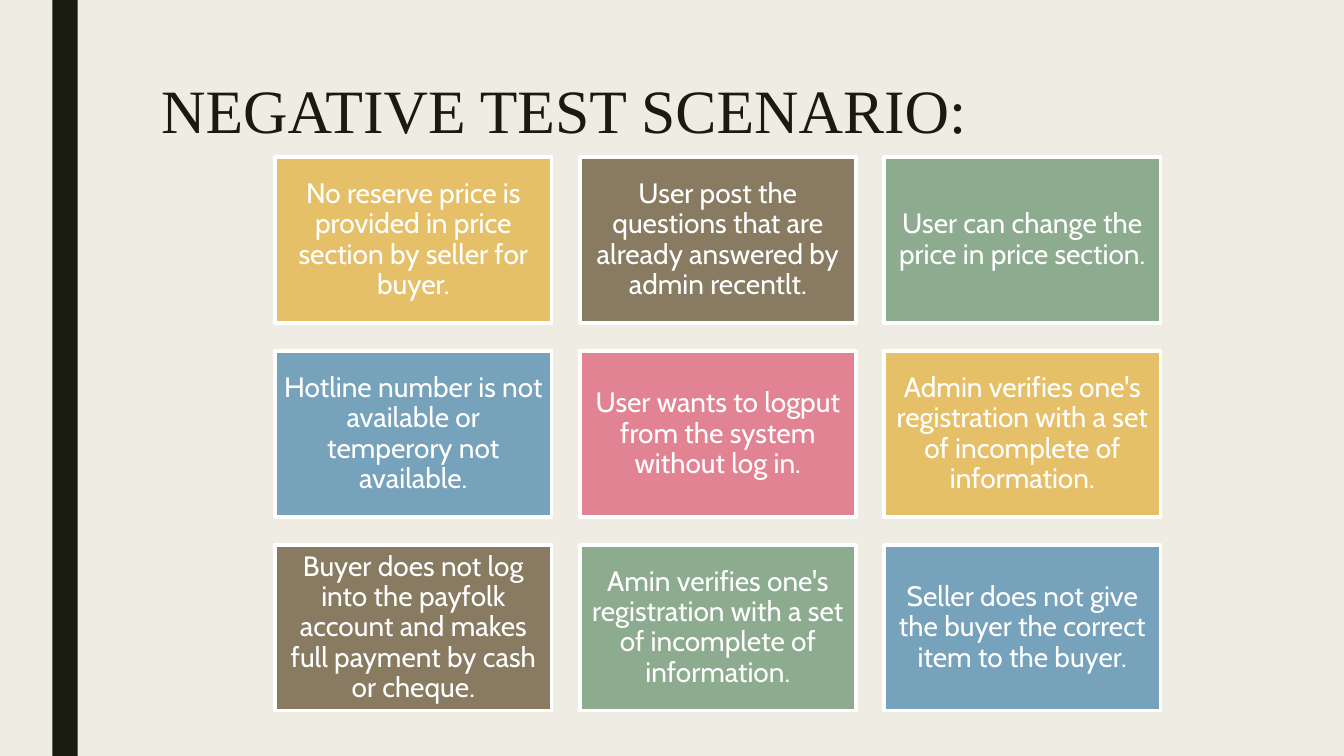
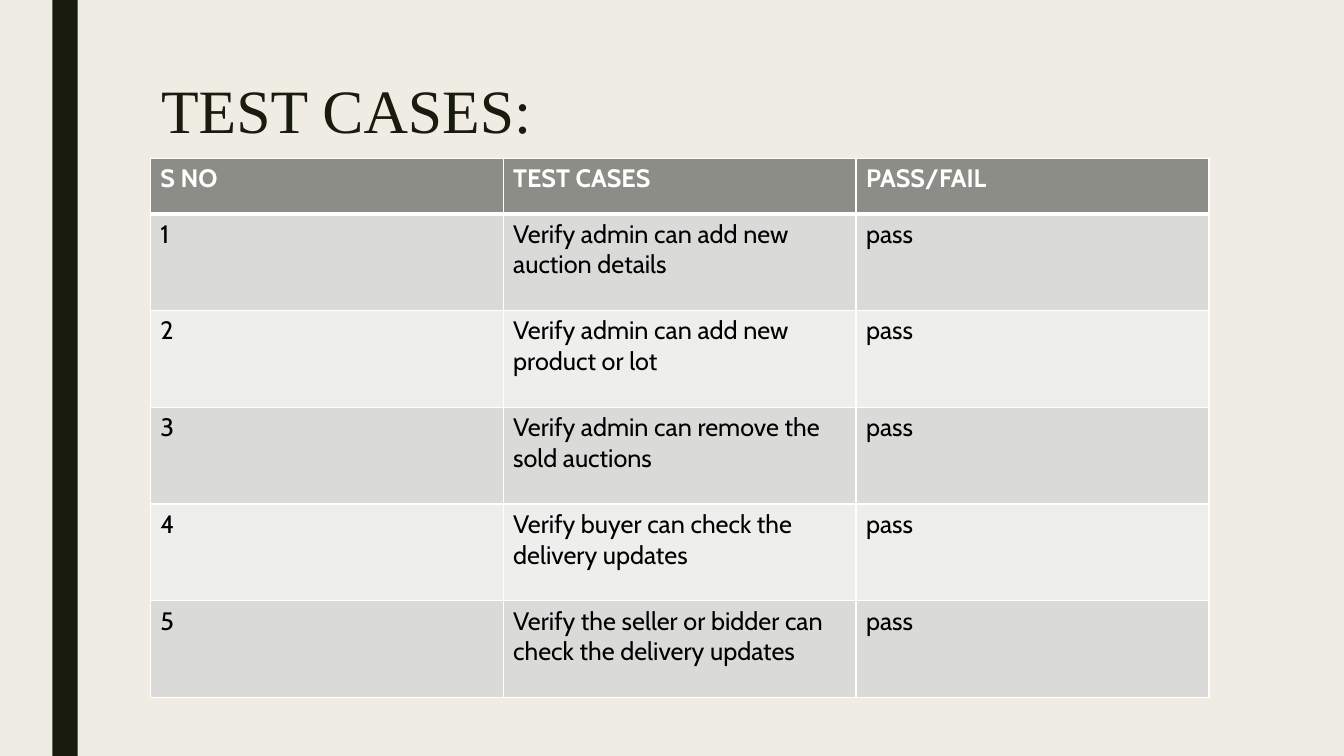
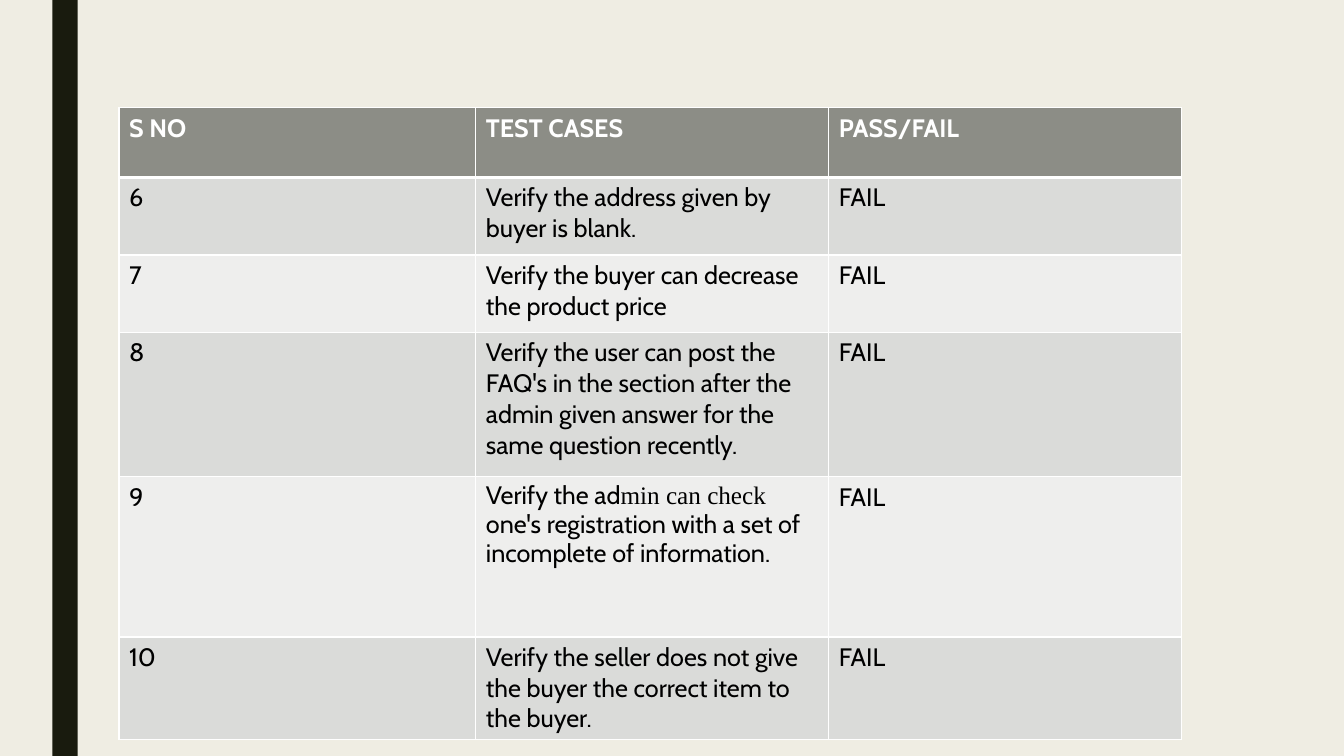
from itertools import cycle

from lxml import etree
from pptx import Presentation
from pptx.dml.color import RGBColor
from pptx.enum.shapes import MSO_SHAPE
from pptx.enum.text import MSO_ANCHOR, PP_ALIGN
from pptx.oxml.ns import qn
from pptx.util import Inches, Pt

RECTANGLE = MSO_SHAPE.RECTANGLE
MIDDLE, TOP = MSO_ANCHOR.MIDDLE, MSO_ANCHOR.TOP
CENTER, LEFT = PP_ALIGN.CENTER, PP_ALIGN.LEFT

SLIDE_WIDTH, SLIDE_HEIGHT = 13.33, 7.5
BODY_FONT, TITLE_FONT = "Cabin", "Times New Roman"
PAPER, INK, WHITE, BLACK = "EFEDE3", "191B0E", "FFFFFF", "000000"
TILE_FILLS = ["E6C069", "897B61", "8DAB8E", "77A2BB", "E28394"]
HEADER_FILL, BAND_FILLS = "8C8D86", ["DADBD9", "EEEEED"]

SCENARIOS = [
    "No reserve price is provided in price section by seller for buyer.",
    "User post the questions that are already answered by admin recentlt.",
    "User can change the price in price section.",
    "Hotline number is not available or temperory not available.",
    "User wants to logput from the system without log in.",
    "Admin verifies one's registration with a set of incomplete of information.",
    "Buyer does not log into the payfolk account and makes full payment by cash or cheque.",
    "Amin verifies one's registration with a set of incomplete of information.",
    "Seller does not give the buyer the correct item to the buyer.",
]
HEADINGS = ["S NO", "TEST CASES", "PASS/FAIL"]
PASSED_CASES = [
    "Verify admin can add new auction details",
    "Verify admin can add new product or lot",
    "Verify admin can remove the sold auctions",
    "Verify buyer can check the delivery updates",
    "Verify the seller or bidder can check the delivery updates",
]
FAILED_CASES = [
    "Verify the address given by buyer is blank.",
    "Verify the buyer can decrease the product price",
    "Verify the user can post the FAQ's in the section after the admin given answer "
    "for the same question recently.",
    [("Verify the ad", BODY_FONT), ("min can check ", TITLE_FONT),
     ("one's registration with a set of incomplete of information.", BODY_FONT)],
    "Verify the seller does not give the buyer the correct item to the buyer.",
]


def color(value):
    """Turn a hex string into a colour."""
    return RGBColor.from_string(value)


def write(frame, text, size=18, font=BODY_FONT, ink=BLACK, bold=False, align=LEFT, spacing=1.0):
    """Write a string, or a list of (text, font) spans, as one paragraph."""
    para = frame.paragraphs[0]
    para.alignment, para.line_spacing = align, spacing
    for words, face in [(text, font)] if isinstance(text, str) else text:
        span = para.add_run()
        span.text = words
        span.font.size, span.font.name, span.font.bold = Pt(size), face, bold
        span.font.color.rgb = color(ink)


def add_rectangle(page, box, fill, outline=None):
    """Add a flat rectangle, with an outline if one is named."""
    shape = page.shapes.add_shape(RECTANGLE, *map(Inches, box))
    shape.shadow.inherit = False
    shape.fill.solid()
    shape.fill.fore_color.rgb = color(fill)
    if outline:
        shape.line.color.rgb = color(outline)
        shape.line.width = Pt(2.75)
    else:
        shape.line.fill.background()
    return shape


def add_page(deck, title=None):
    """Add a slide with the shared background, side bar and title."""
    page = deck.slides.add_slide(deck.slide_layouts[6])
    page.background.fill.solid()
    page.background.fill.fore_color.rgb = color(PAPER)
    add_rectangle(page, (0.52, 0, 0.25, SLIDE_HEIGHT), INK)
    if title:
        frame = page.shapes.add_textbox(*map(Inches, (1.5, 0.75, 10.5, 1.62))).text_frame
        frame.word_wrap, frame.vertical_anchor = True, TOP
        write(frame, title, size=44, font=TITLE_FONT, ink=INK, spacing=0.89)
    return page


def add_tiles(page, box, texts, columns=3, gap=0.28):
    """Fill the box with a grid of coloured text tiles."""
    left, top, width, height = box
    rows = -(-len(texts) // columns)
    tile_width = (width - gap * (columns - 1)) / columns
    tile_height = (height - gap * (rows - 1)) / rows
    for index, (text, fill) in enumerate(zip(texts, cycle(TILE_FILLS))):
        row, column = divmod(index, columns)
        place = (left + column * (tile_width + gap), top + row * (tile_height + gap),
                 tile_width, tile_height)
        frame = add_rectangle(page, place, fill, outline=WHITE).text_frame
        frame.word_wrap, frame.vertical_anchor = True, MIDDLE
        frame.margin_left = frame.margin_right = Inches(0.08)
        frame.margin_top = frame.margin_bottom = Inches(0.08)
        write(frame, text, size=20, ink=WHITE, align=CENTER, spacing=0.9)


def set_borders(cell, top=1, bottom=1):
    """Draw white borders round a cell, with widths in points."""
    properties = cell._tc.get_or_add_tcPr()
    sides = {"a:lnL": 1, "a:lnR": 1, "a:lnT": top, "a:lnB": bottom}
    for position, (side, width) in enumerate(sides.items()):
        line = etree.Element(qn(side), w=str(Pt(width)))
        fill = etree.SubElement(line, qn("a:solidFill"))
        etree.SubElement(fill, qn("a:srgbClr"), val=WHITE)
        properties.insert(position, line)


def add_case_table(page, corner, widths, heights, first_number, cases, result):
    """Add a table of numbered test cases that share one result."""
    rows = [HEADINGS] + [[str(number), case, result]
                         for number, case in enumerate(cases, first_number)]
    box = (*corner, sum(widths), sum(heights))
    table = page.shapes.add_table(len(rows), len(widths), *map(Inches, box)).table
    table.first_row = table.horz_banding = False
    for column, width in zip(table.columns, widths):
        column.width = Inches(width)
    for index, (row, height, texts) in enumerate(zip(table.rows, heights, rows)):
        row.height = Inches(height)
        header = index == 0
        for cell, text in zip(row.cells, texts):
            cell.fill.solid()
            cell.fill.fore_color.rgb = color(HEADER_FILL if header else BAND_FILLS[(index - 1) % 2])
            set_borders(cell, top=3 if index == 1 else 1, bottom=3 if header else 1)
            write(cell.text_frame, text, ink=WHITE if header else BLACK, bold=header,
                  spacing=1.0 if isinstance(text, str) else 0.94)


def main():
    """Build the deck and save it."""
    deck = Presentation()
    deck.slide_width, deck.slide_height = Inches(SLIDE_WIDTH), Inches(SLIDE_HEIGHT)
    add_tiles(add_page(deck, "NEGATIVE TEST SCENARIO:"), (2.73, 1.56, 8.78, 5.49), SCENARIOS)
    add_case_table(add_page(deck, "TEST CASES:"), (1.49, 1.57), [3.5] * 3,
                   [0.55] + [0.96] * 5, 1, PASSED_CASES, "pass")
    add_case_table(add_page(deck), (1.18, 1.07), [3.54, 3.5, 3.5],
                   [0.69, 0.77, 0.77, 1.43, 1.59, 1.02], 6, FAILED_CASES, "FAIL")
    deck.save("out.pptx")


if __name__ == "__main__":
    main()
